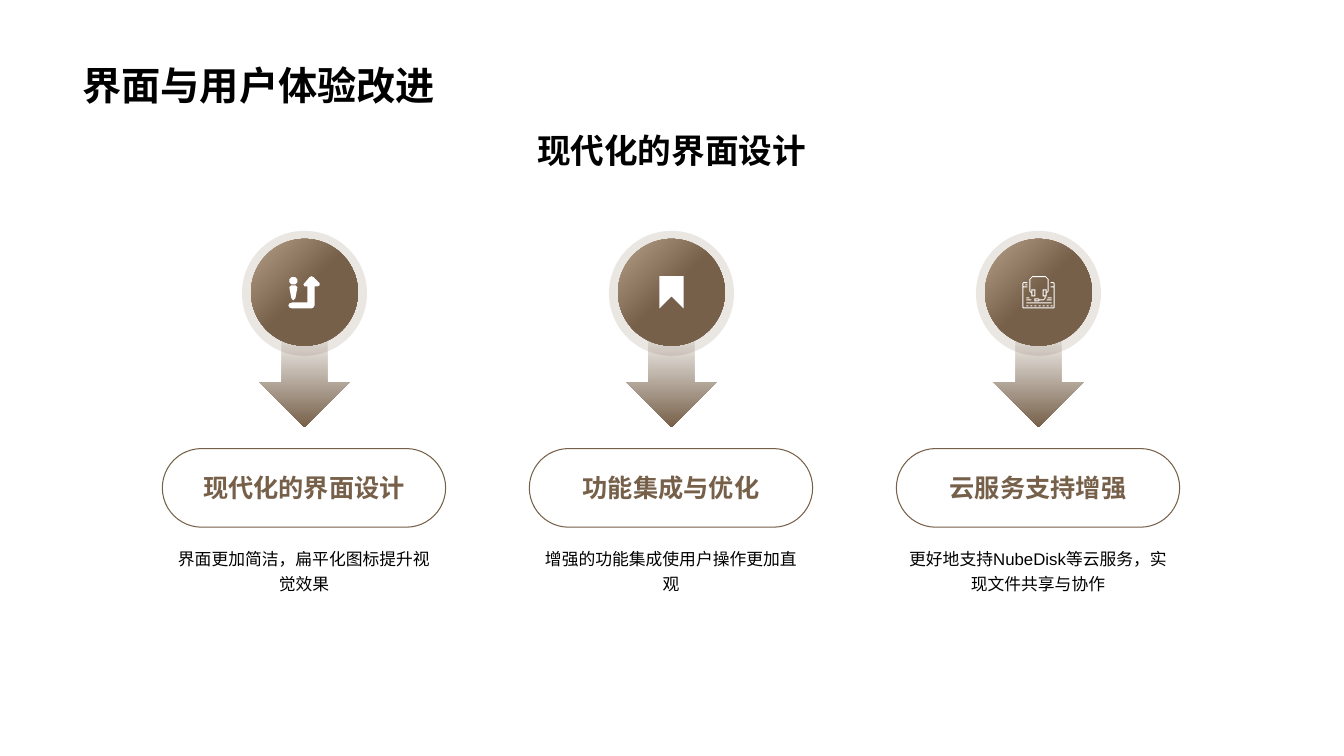
from lxml import etree
from pptx import Presentation
from pptx.dml.color import RGBColor
from pptx.enum.shapes import MSO_SHAPE
from pptx.enum.text import MSO_ANCHOR, PP_ALIGN
from pptx.oxml.ns import qn
from pptx.util import Pt

PX = 9144  # 100 px to the inch
BLACK = RGBColor(0x00, 0x00, 0x00)
WHITE = RGBColor(0xFF, 0xFF, 0xFF)
BROWN = RGBColor(0x76, 0x60, 0x49)
TAN = RGBColor(0xB6, 0xA0, 0x89)
LEFT, CENTER = PP_ALIGN.LEFT, PP_ALIGN.CENTER
TOP, MIDDLE, BOTTOM = MSO_ANCHOR.TOP, MSO_ANCHOR.MIDDLE, MSO_ANCHOR.BOTTOM
OVAL, ARROW, PILL = MSO_SHAPE.OVAL, MSO_SHAPE.DOWN_ARROW, MSO_SHAPE.ROUNDED_RECTANGLE

prs = Presentation()
prs.slide_width, prs.slide_height = 1333 * PX, 750 * PX
s = prs.slides.add_slide(prs.slide_layouts[6])


def write(sp, text, size, color=BLACK, bold=False, align=CENTER, anchor=TOP):
    tf = sp.text_frame
    tf.word_wrap = True
    tf.vertical_anchor = anchor
    p = tf.paragraphs[0]
    p.text = text
    p.alignment = align
    font = p.runs[0].font
    font.name, font.size, font.bold = "Arial", Pt(size), bold
    font.color.rgb = color
    return p


def add_shape(kind, x, y, w, h, stops=None, angle=0):
    sp = s.shapes.add_shape(kind, x * PX, y * PX, w * PX, h * PX)
    sp.shadow.inherit = False
    sp.line.fill.background()
    if stops:
        sp.fill.gradient()
        sp.fill.gradient_angle = angle
        for stop, (position, color) in zip(sp.fill.gradient_stops, stops):
            stop.position = position
            stop.color.rgb = color
    return sp


# Headings
tb = s.shapes.add_textbox(72 * PX, 14 * PX, 1188 * PX, 98 * PX)
write(tb, "界面与用户体验改进", 28, bold=True, align=LEFT, anchor=BOTTOM)
tb = s.shapes.add_textbox(72 * PX, 124 * PX, 1188 * PX, 59 * PX)
write(tb, "现代化的界面设计", 24, bold=True)

# Icon outlines, in px from the top centre of each icon
turn_icon = [
    [(-13, 1), (-9, 1), (-7, 3), (-7, 6), (-9, 8), (-13, 8), (-15, 6), (-15, 3)],
    [(-13, 9), (-9, 9), (-7, 11), (-9, 22), (-11, 24), (-13, 22), (-15, 11)],
    [(7, 0), (9, 1), (15, 7), (15, 9), (13, 10), (10, 10), (10, 29), (9, 31), (7, 32),
     (-12, 32), (-15, 31), (-16, 29), (-15, 27), (-12, 26), (3, 26), (3, 10), (0, 10),
     (-1, 8), (5, 1)],
]
bookmark_icon = [[(-12, 0), (-12, 32), (0, 20), (12, 32), (12, 0)]]
support_icon = [
    # Card frame
    [(-15, 6), (-11, 6), (-11, 7), (-15, 7), (-15, 10), (-11, 10), (-11, 11), (-15, 11),
     (-15, 31), (15, 31), (15, 11), (12, 11), (12, 10), (15, 10), (15, 7), (12, 7),
     (12, 6), (15, 6), (16, 7), (16, 31), (15, 32), (-15, 32), (-16, 31), (-16, 7)],
    # Headset
    [(-6, 0), (7, 0), (10, 3), (10, 15), (8, 17), (8, 20), (7, 20), (7, 22), (5, 24),
     (1, 24), (0, 25), (-4, 25), (-4, 22), (0, 22), (1, 23), (5, 23), (6, 22), (6, 20),
     (4, 20), (4, 13), (8, 13), (8, 16), (9, 15), (9, 3), (7, 1), (-6, 1), (-8, 3),
     (-8, 15), (-7, 16), (-7, 13), (-3, 13), (-3, 20), (-7, 20), (-7, 17), (-9, 15),
     (-9, 3)],
]
# Bars and cut-outs: left, top, right, bottom
bars = [(x, 29, x + 2, 30) for x in range(-12, 13, 4)]
bars += [(-12, 26, 13, 27), (8, 23, 13, 24), (-12, 23, -7, 24), (9, 21, 13, 22),
         (-12, 21, -9, 22), (-13, 8, -11, 9),
         (-3, 23, 0, 24), (5, 14, 7, 19), (-6, 14, -4, 19)]
support_icon += [[(l, t), (r, t), (r, b), (l, b)] for l, t, r, b in bars]

# Three columns
columns = [
    (turn_icon, "现代化的界面设计", "界面更加简洁，扁平化图标提升视觉效果"),
    (bookmark_icon, "功能集成与优化", "增强的功能集成使用户操作更加直观"),
    (support_icon, "云服务支持增强", "更好地支持NubeDisk等云服务，实现文件共享与协作"),
]
for i, (icon, heading, detail) in enumerate(columns):
    cx = 302 + 364 * i

    # Arrow, halo and disc
    add_shape(ARROW, cx - 45, 325, 90, 99, [(0, WHITE), (1, BROWN)], 270)
    halo = add_shape(OVAL, cx - 62, 229, 124, 124)
    halo.fill.solid()
    halo.fill.fore_color.rgb = BROWN
    color = halo.fill._xPr.find(qn("a:solidFill"))[0]
    etree.SubElement(color, qn("a:alpha"), val="15000")
    add_shape(OVAL, cx - 53, 237, 106, 106, [(0, TAN), (0.5, BROWN)], 315)

    # Icon
    fb = None
    for outline in icon:
        points = [(cx + x, 274 + y) for x, y in outline]
        if fb is None:
            fb = s.shapes.build_freeform(*points[0], scale=PX)
        else:
            fb.move_to(*points[0])
        fb.add_line_segments(points[1:], close=True)
    sp = fb.convert_to_shape()
    sp.shadow.inherit = False
    sp.fill.solid()
    sp.fill.fore_color.rgb = WHITE
    sp.line.fill.background()

    # Detail and pill
    tb = s.shapes.add_textbox((cx - 141) * PX, 536 * PX, 281 * PX, 134 * PX)
    write(tb, detail, 12).line_spacing = 1.2
    pill = add_shape(PILL, cx - 141, 445, 281, 78)
    pill.adjustments[0] = 0.5
    pill.fill.background()
    pill.line.color.rgb = BROWN
    pill.line.width = Pt(0.75)
    write(pill, heading, 18, BROWN, bold=True, anchor=MIDDLE)

prs.save("out.pptx")
